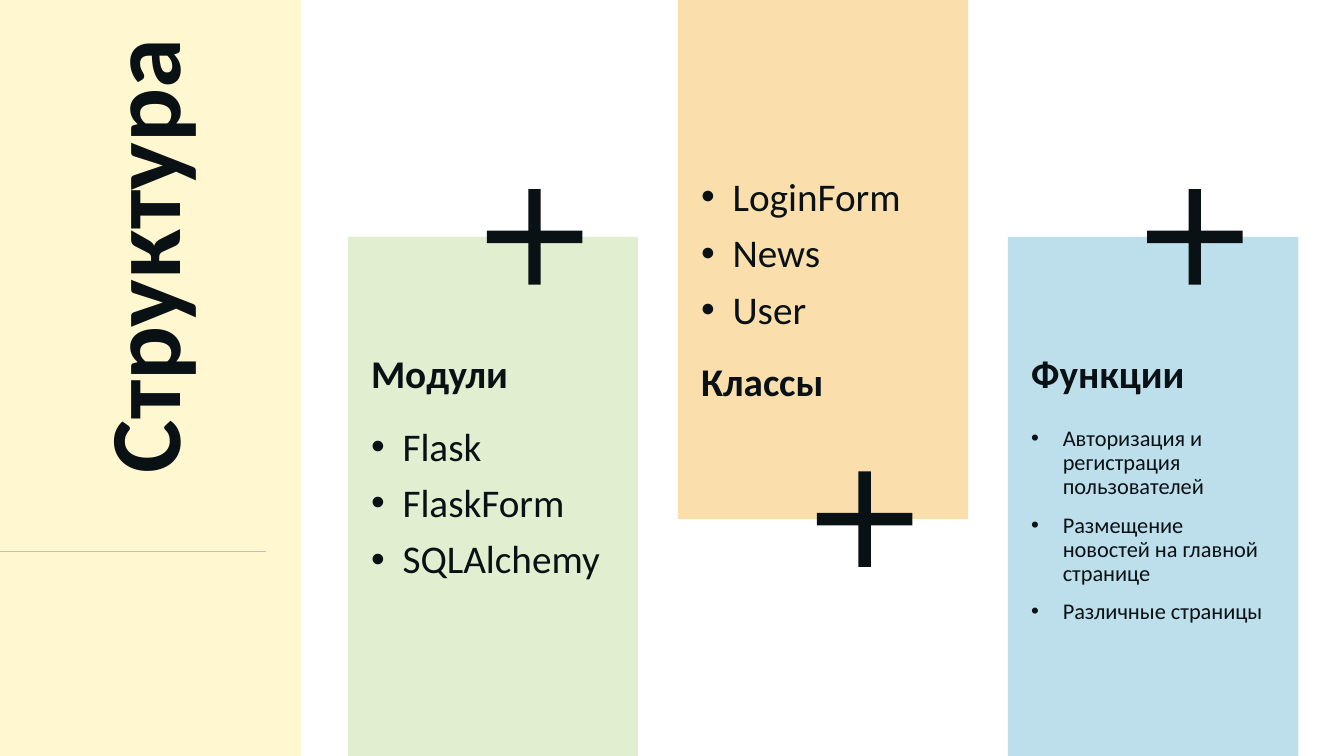
import pptx
import pptx.dml.color
import pptx.enum.shapes
import pptx.enum.text
import pptx.oxml
import pptx.oxml.ns
import pptx.util

Pt = pptx.util.Pt
RGBColor = pptx.dml.color.RGBColor
MSO_SHAPE = pptx.enum.shapes.MSO_SHAPE
MSO_ANCHOR = pptx.enum.text.MSO_ANCHOR
PP_ALIGN = pptx.enum.text.PP_ALIGN

CREAM = RGBColor(0xFF, 0xF7, 0xD0)
WHITE = RGBColor(0xFF, 0xFF, 0xFF)
GREY = RGBColor(0xBF, 0xBF, 0xBF)
GREEN = RGBColor(0xE1, 0xEF, 0xD0)
ORANGE = RGBColor(0xFA, 0xDF, 0xAC)
BLUE = RGBColor(0xBC, 0xDF, 0xEB)
INK = RGBColor(0x09, 0x11, 0x15)

FONT = "Calibri"
SLIDE_WIDTH, SLIDE_HEIGHT = 960, 540
SIDEBAR_WIDTH = 215.3
CARD_LEFT, CARD_STEP = 248.4, 235.8
CARD_WIDTH, CARD_HEIGHT = 207.4, 370.8
TEXT_INSET, TEXT_WIDTH = 13, 178
HEADING_TOP, HEADING_HEIGHT = 249.8, 43.2
LIST_HEIGHT = 223.2
PLUS_OFFSET, PLUS_SIZE = 87, 92.9
BULLET_INDENT = 22.5

# heading, colour, hangs from the top edge, list size, list items
CARDS = [
    ("Модули", GREEN, False, 28, ["Flask", "FlaskForm", "SQLAlchemy"]),
    ("Классы", ORANGE, True, 28, ["LoginForm", "News", "User"]),
    ("Функции", BLUE, False, 16, [
        "Авторизация и регистрация пользователей",
        "Размещение новостей на главной странице",
        "Различные страницы",
    ]),
]


def add_block(slide, preset, left, top, width, height, color):
    block = slide.shapes.add_shape(
        preset, Pt(left), Pt(top), Pt(width), Pt(height))
    block.shadow.inherit = False
    block.fill.solid()
    block.fill.fore_color.rgb = color
    block.line.fill.background()
    return block


def add_divider(slide, top, length):
    divider = slide.shapes.add_connector(
        pptx.enum.shapes.MSO_CONNECTOR.STRAIGHT,
        Pt(0), Pt(top), Pt(length), Pt(top))
    divider.line.color.rgb = GREY
    divider.line.width = Pt(1)
    properties = divider._element.spPr
    properties.append(pptx.oxml.parse_xml(
        "<a:effectLst %s/>" % pptx.oxml.ns.nsdecls("a")))


def add_text(slide, left, top, width, height, lines, size, anchor, bold=False):
    box = slide.shapes.add_textbox(Pt(left), Pt(top), Pt(width), Pt(height))
    frame = box.text_frame
    frame.word_wrap = True
    frame.vertical_anchor = anchor
    frame.margin_left = frame.margin_top = frame.margin_bottom = Pt(3.6)
    frame.margin_right = Pt(0)
    frame.text = "\n".join(lines)
    for paragraph in frame.paragraphs:
        paragraph.line_spacing = 0.9
        paragraph.space_before = Pt(10)
        for run in paragraph.runs:
            run.font.name = FONT
            run.font.size = Pt(size)
            run.font.bold = bold
            run.font.color.rgb = INK
    return box


def add_bullets(box):
    for paragraph in box.text_frame.paragraphs:
        properties = paragraph._p.get_or_add_pPr()
        properties.set("marL", str(Pt(BULLET_INDENT)))
        properties.set("indent", str(-Pt(BULLET_INDENT)))
        for xml in ('<a:buFont %s typeface="Arial"/>',
                    '<a:buChar %s char="•"/>'):
            properties.append(
                pptx.oxml.parse_xml(xml % pptx.oxml.ns.nsdecls("a")))


def add_title(slide):
    title = add_text(slide, -73.4, 119.5, 358.6, 161.3, ["Структура"], 72,
                     MSO_ANCHOR.MIDDLE, bold=True)
    title.rotation = 270
    title.text_frame.margin_left = title.text_frame.margin_right = Pt(7.2)
    paragraph = title.text_frame.paragraphs[0]
    paragraph.alignment = PP_ALIGN.RIGHT
    paragraph.space_before = Pt(0)


def add_card(slide, left, heading, color, hanging, list_size, items):
    """Draw a card; a hanging one has its list above the heading."""
    card_top = 0 if hanging else SLIDE_HEIGHT - CARD_HEIGHT
    plus_center = CARD_HEIGHT if hanging else card_top
    list_top = 18 if hanging else 301.7
    anchor = MSO_ANCHOR.BOTTOM if hanging else MSO_ANCHOR.TOP
    text_left = left + TEXT_INSET

    add_block(slide, MSO_SHAPE.RECTANGLE, left, card_top,
              CARD_WIDTH, CARD_HEIGHT, color)
    add_bullets(add_text(slide, text_left, list_top, TEXT_WIDTH, LIST_HEIGHT,
                         items, list_size, anchor))
    add_text(slide, text_left, HEADING_TOP, TEXT_WIDTH, HEADING_HEIGHT,
             [heading], 28, anchor, bold=True)
    plus = add_block(slide, MSO_SHAPE.MATH_PLUS, left + PLUS_OFFSET,
                     plus_center - PLUS_SIZE / 2, PLUS_SIZE, PLUS_SIZE, INK)
    plus.adjustments[0] = 0.095


def main():
    deck = pptx.Presentation()
    deck.slide_width, deck.slide_height = Pt(SLIDE_WIDTH), Pt(SLIDE_HEIGHT)
    slide = deck.slides.add_slide(deck.slide_layouts[6])
    slide.background.fill.solid()
    slide.background.fill.fore_color.rgb = CREAM

    add_block(slide, MSO_SHAPE.RECTANGLE, SIDEBAR_WIDTH, 0,
              SLIDE_WIDTH - SIDEBAR_WIDTH, SLIDE_HEIGHT, WHITE)
    add_divider(slide, 393.8, 190)
    add_title(slide)
    for index, card in enumerate(CARDS):
        add_card(slide, CARD_LEFT + index * CARD_STEP, *card)
    deck.save("out.pptx")


if __name__ == "__main__":
    main()
